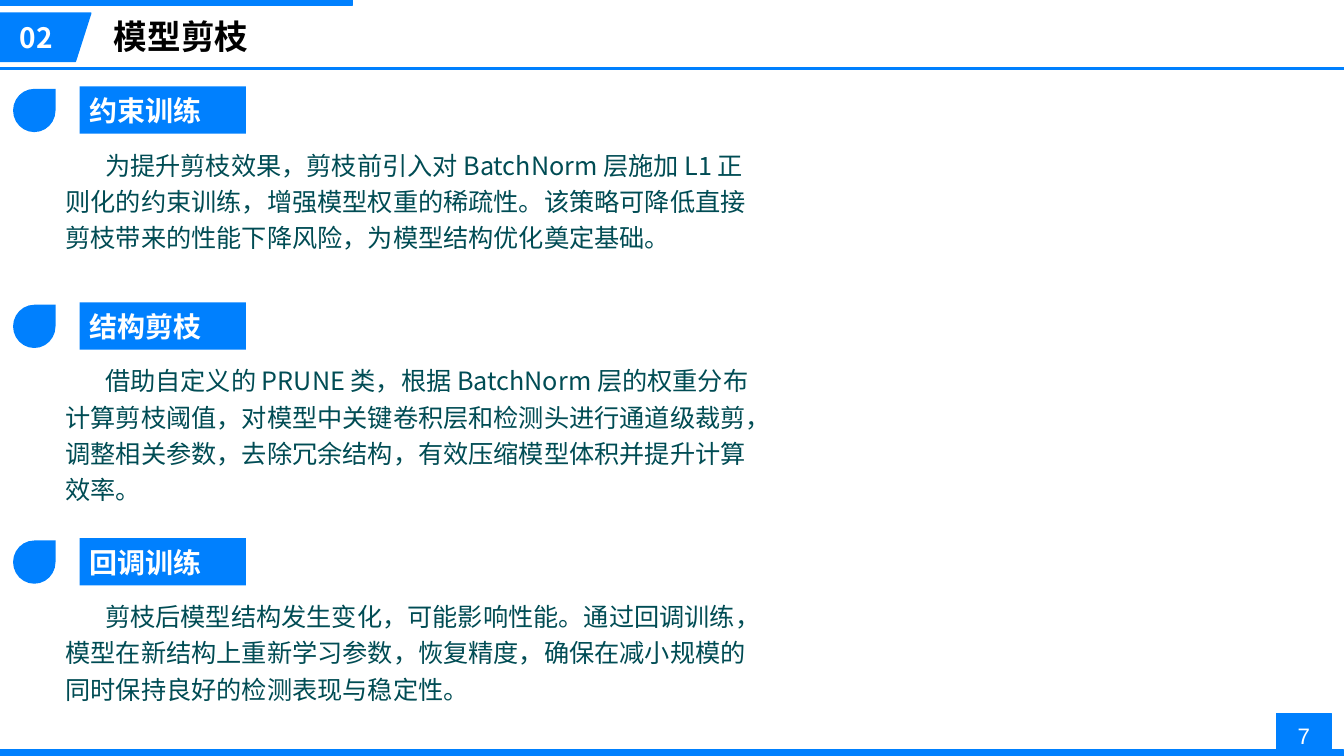
"""Build the model pruning slide with three headed explanations."""
from pptx import Presentation
from pptx.dml.color import RGBColor
from pptx.enum.shapes import MSO_CONNECTOR as Connector, MSO_SHAPE as Preset
from pptx.enum.text import MSO_ANCHOR as Anchor, PP_ALIGN as Align
from pptx.oxml.ns import qn
from pptx.util import Cm, Pt
from lxml.etree import SubElement

COLOURS = {"blue": "0080FE", "white": "FFFFFF", "black": "000000", "body": "004C54"}
CJK_FONT = "Noto Sans CJK SC"
WIDTH, HEIGHT = 33.87, 19.05
SECTIONS = [
    (2.18, "约束训练", "为提升剪枝效果，剪枝前引入对 BatchNorm 层施加 L1 正则化的约束训练，"
     "增强模型权重的稀疏性。该策略可降低直接剪枝带来的性能下降风险，为模型结构优化奠定基础。", 3.02),
    (7.62, "结构剪枝", "借助自定义的 PRUNE 类，根据 BatchNorm 层的权重分布计算剪枝阈值，"
     "对模型中关键卷积层和检测头进行通道级裁剪，调整相关参数，去除冗余结构，"
     "有效压缩模型体积并提升计算效率。", 3.94),
    (13.56, "回调训练", "剪枝后模型结构发生变化，可能影响性能。通过回调训练，"
     "模型在新结构上重新学习参数，恢复精度，确保在减小规模的同时保持良好的检测表现与稳定性。", 3.02),
]


def colour(name):
    """Return the named colour."""
    return RGBColor.from_string(COLOURS[name])


def paint(shape, line_width=None):
    """Fill a shape with blue and outline it when a width is given."""
    shape.shadow.inherit = False
    shape.fill.solid()
    shape.fill.fore_color.rgb = colour("blue")
    if line_width:
        shape.line.color.rgb = colour("blue")
        shape.line.width = Pt(line_width)
    else:
        shape.line.fill.background()


def add_block(slide, box, preset=Preset.RECTANGLE, line_width=None):
    """Add a blue preset shape in a box given in centimetres."""
    shape = slide.shapes.add_shape(preset, *map(Cm, box))
    paint(shape, line_width)
    return shape


def write_text(shape, text, size, tint="white", font=CJK_FONT, bold=False,
               align=Align.LEFT, anchor=Anchor.TOP, indent=0, spacing=None, wrap=True):
    """Write one formatted paragraph into a shape."""
    frame = shape.text_frame
    frame.word_wrap = wrap
    frame.vertical_anchor = anchor
    paragraph = frame.paragraphs[0]
    paragraph.alignment = align
    if spacing:
        paragraph.line_spacing = spacing
    if indent:
        properties = paragraph._p.get_or_add_pPr()
        properties.set("marL", "0")
        properties.set("indent", str(Cm(indent)))
    run = paragraph.add_run()
    run.text = text
    run.font.size = Pt(size)
    run.font.bold = bold
    run.font.color.rgb = colour(tint)
    run.font.name = font
    SubElement(run._r.get_or_add_rPr(), qn("a:ea")).set("typeface", font)


def add_text(slide, box, text, size, **style):
    """Add a text box in a box given in centimetres."""
    write_text(slide.shapes.add_textbox(*map(Cm, box)), text, size, **style)


def add_header(slide, left, top, width, number, title):
    """Draw the accent bar, numbered tag, title and rule."""
    add_block(slide, (left, top, 8.89, 0.13), line_width=1)
    add_text(slide, (left + 2.62, top + 0.28, 18.44, 1.27), title, 24, tint="black", bold=True)
    rule = slide.shapes.add_connector(
        Connector.STRAIGHT, Cm(left), Cm(top + 1.73), Cm(left + width), Cm(top + 1.73))
    rule.line.color.rgb = colour("blue")
    rule.line.width = Pt(2)
    SubElement(rule._element.spPr, qn("a:effectLst"))
    upper, lower = Cm(top + 0.33), Cm(top + 1.55)
    outline = slide.shapes.build_freeform(Cm(left), upper)
    outline.add_line_segments([
        (Cm(left + 2.29), upper), (Cm(left + 1.9), lower), (Cm(left), lower)])
    paint(outline.convert_to_shape(), 1)
    add_text(slide, (left, top + 0.38, 1.83, 1.12), number, 20, bold=True, align=Align.CENTER)


def add_footer(slide, left, top, width, number):
    """Draw the page tab and the bar along the bottom."""
    add_block(slide, (left + 32.18, top, 1.37, 1.09), line_width=0.75)
    label = add_block(slide, (left + 32.44, top + 0.08, 0.84, 0.94), line_width=0.75)
    write_text(label, number, 16, font="Arial", align=Align.CENTER,
               anchor=Anchor.MIDDLE, wrap=False)
    add_block(slide, (left, top + 0.92, width, 0.41), line_width=0.75)


def add_section(slide, left, top, width, heading, body, body_height):
    """Draw a teardrop, a heading band and an indented paragraph."""
    add_block(slide, (left + 1.68, top, 4.19, 1.19))
    add_text(slide, (left + 1.68, top + 0.05, 4.19, 1.12), heading, 20, bold=True)
    add_block(slide, (left, top + 0.06, 1.07, 1.09), Preset.TEAR)
    add_text(slide, (left + 1.07, top + 1.32, width - 1.07, body_height), body, 18,
             tint="body", indent=1, spacing=1.2)


def main():
    """Build and save the presentation."""
    presentation = Presentation()
    presentation.slide_width, presentation.slide_height = Cm(WIDTH), Cm(HEIGHT)
    slide = presentation.slides.add_slide(presentation.slide_layouts[6])
    add_footer(slide, 0, 17.98, WIDTH, "7")
    add_header(slide, 0, 0, WIDTH, "02", "模型剪枝")
    for top, heading, body, body_height in SECTIONS:
        add_section(slide, 0.33, top, 18.95, heading, body, body_height)
    presentation.save("out.pptx")


if __name__ == "__main__":
    main()
